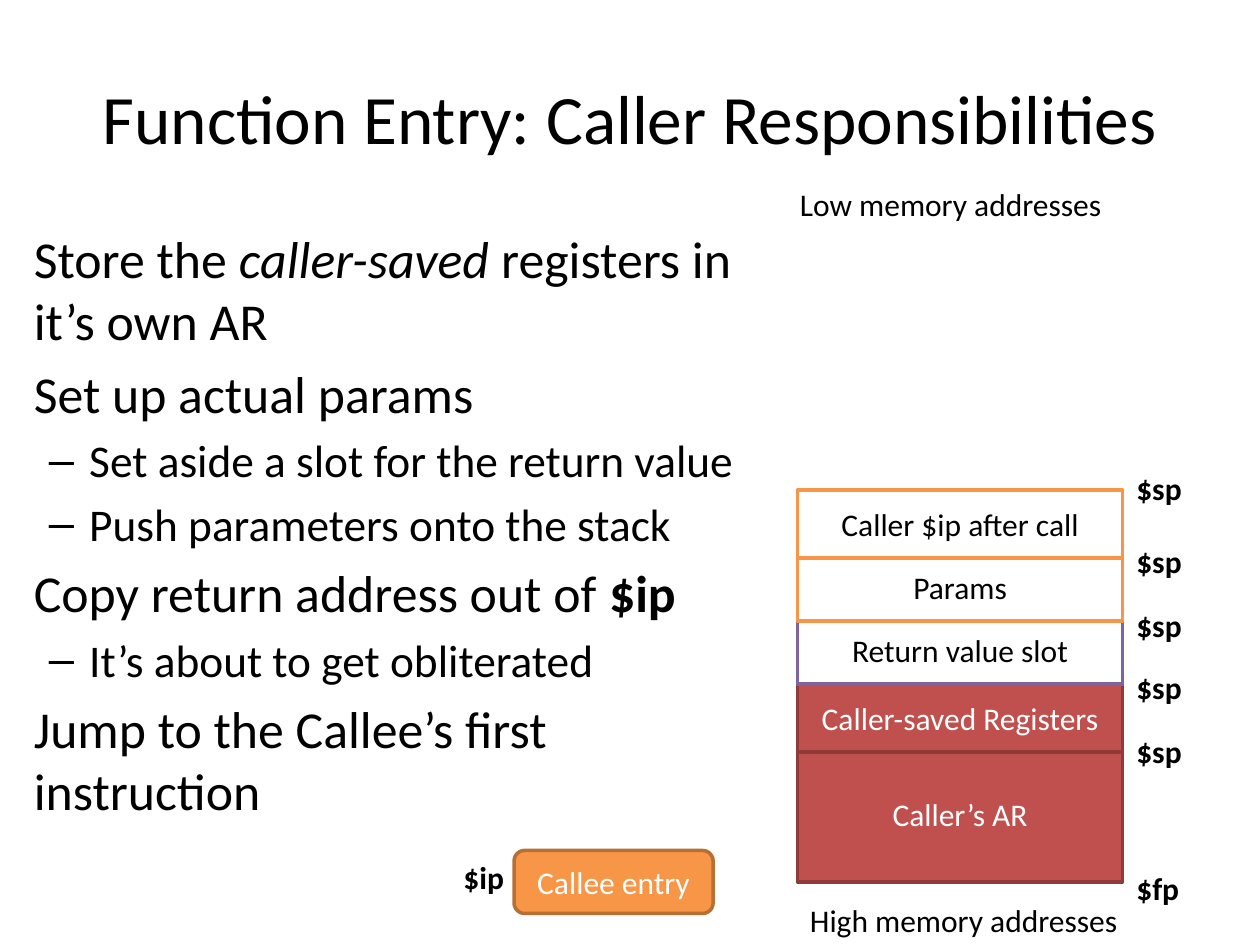
from lxml.etree import SubElement
from pptx import Presentation
from pptx.dml.color import RGBColor
from pptx.enum.shapes import MSO_SHAPE
from pptx.enum.text import MSO_ANCHOR, MSO_AUTO_SIZE, PP_ALIGN
from pptx.oxml.ns import qn
from pptx.util import Inches, Pt

BLACK, WHITE = "000000", "FFFFFF"
RED, DARK_RED = "C0504D", "8E3B39"
ORANGE, DARK_ORANGE, PURPLE = "F79646", "B76F34", "8064A2"
STACK_LEFT, STACK_WIDTH = 6.33, 2.58

RESPONSIBILITIES = [
    (0, [("Store the ", {}), ("caller-saved", {"italic": True}),
         (" registers in it’s own AR", {})]),
    (0, [("Set up actual params", {})]),
    (1, [("Set aside a slot for the return value", {})]),
    (1, [("Push parameters onto the stack", {})]),
    (0, [("Copy return address out of ", {}), ("$ip", {"bold": True})]),
    (1, [("It’s about to get obliterated", {})]),
    (0, [("Jump to the Callee’s first instruction", {})]),
]

STACK = [
    ("Caller’s AR", 5.92, 1.08, RED, DARK_RED, WHITE),
    ("Caller-saved Registers", 5.43, 0.54, RED, DARK_RED, WHITE),
    ("Return value slot", 4.89, 0.54, WHITE, PURPLE, BLACK),
    ("Params", 4.39, 0.54, WHITE, ORANGE, BLACK),
    ("Caller $ip after call", 3.89, 0.54, WHITE, ORANGE, BLACK),
]

LABELS = [
    ("Low memory addresses", 6.25, 1.42, 2.62, False),
    ("High memory addresses", 6.33, 7.1, 2.67, False),
    ("$fp", 8.92, 6.85, 0.55, True),
    ("$ip", 3.58, 6.76, 0.53, True),
]
STACK_POINTER_TOPS = [3.67, 4.25, 4.76, 5.25, 5.76]


def color(value):
    return RGBColor.from_string(value)


def add_run(paragraph, text, size, text_color=BLACK, **styles):
    run = paragraph.add_run()
    run.text = text
    formats = {"name": "Calibri", "size": Pt(size), **styles}
    for attribute, value in formats.items():
        setattr(run.font, attribute, value)
    run.font.color.rgb = color(text_color)


def add_text_frame(slide, left, top, width, height, **formats):
    box = slide.shapes.add_textbox(
        Inches(left), Inches(top), Inches(width), Inches(height))
    for attribute, value in formats.items():
        setattr(box.text_frame, attribute, value)
    return box.text_frame


def add_title(slide, text):
    frame = add_text_frame(slide, 0.5, 0.3, 9, 1.25, word_wrap=True,
                           vertical_anchor=MSO_ANCHOR.MIDDLE)
    heading = frame.paragraphs[0]
    heading.alignment = PP_ALIGN.CENTER
    add_run(heading, text, 39.6)


def set_dash(paragraph):
    properties = paragraph._p.get_or_add_pPr()
    properties.set("marL", str(Inches(0.44)))
    properties.set("indent", str(Inches(-0.32)))
    SubElement(properties, qn("a:buFont"), typeface="Arial")
    SubElement(properties, qn("a:buChar"), char="–")


def add_outline(slide, items):
    frame = add_text_frame(slide, 0.17, 1.75, 6, 4.95, word_wrap=True)
    for index, (level, runs) in enumerate(items):
        item = frame.add_paragraph() if index else frame.paragraphs[0]
        size = 25.9 if level else 29.6
        item.level = level
        item.space_before = Pt(round(size * 0.2, 1))
        if level:
            set_dash(item)
        for text, styles in runs:
            add_run(item, text, size, **styles)


def add_label(slide, text, left, top, width, bold):
    frame = add_text_frame(slide, left, top, width, 0.4, word_wrap=False,
                           auto_size=MSO_AUTO_SIZE.SHAPE_TO_FIT_TEXT)
    add_run(frame.paragraphs[0], text, 18, bold=bold)


def add_block(slide, kind, text, bounds, fill, outline, text_color):
    block = slide.shapes.add_shape(kind, *map(Inches, bounds))
    block.shadow.inherit = False
    block.fill.solid()
    block.fill.fore_color.rgb = color(fill)
    block.line.color.rgb = color(outline)
    block.line.width = Pt(2)
    block.text_frame.word_wrap = True
    block.text_frame.vertical_anchor = MSO_ANCHOR.MIDDLE
    caption = block.text_frame.paragraphs[0]
    caption.alignment = PP_ALIGN.CENTER
    add_run(caption, text, 18, text_color)


def main():
    presentation = Presentation()
    presentation.slide_width = Inches(10)
    presentation.slide_height = Inches(7.5)
    slide = presentation.slides.add_slide(presentation.slide_layouts[6])
    add_title(slide, "Function Entry: Caller Responsibilities")
    add_outline(slide, RESPONSIBILITIES)
    for text, top, height, *colors in STACK:
        bounds = (STACK_LEFT, top, STACK_WIDTH, height)
        add_block(slide, MSO_SHAPE.RECTANGLE, text, bounds, *colors)
    for label in LABELS:
        add_label(slide, *label)
    for top in STACK_POINTER_TOPS:
        add_label(slide, "$sp", 8.92, top, 0.56, True)
    add_block(slide, MSO_SHAPE.ROUNDED_RECTANGLE, "Callee entry",
              (4.08, 6.75, 1.58, 0.5), ORANGE, DARK_ORANGE, WHITE)
    presentation.save("out.pptx")


if __name__ == "__main__":
    main()
